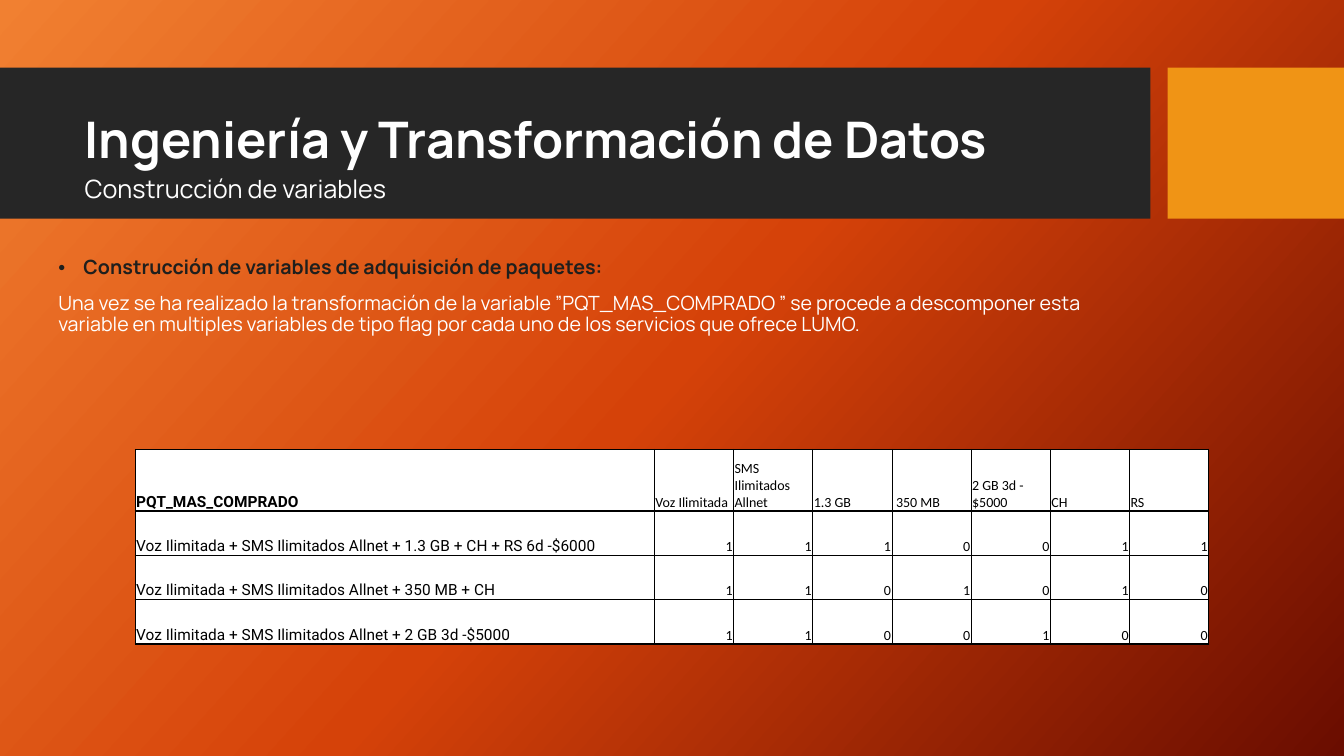
import copy

import lxml.etree
import pptx
import pptx.dml.color
import pptx.enum.shapes
import pptx.enum.text
import pptx.oxml.ns
import pptx.util

Inches = pptx.util.Inches
Pt = pptx.util.Pt
qn = pptx.oxml.ns.qn
ALIGN = pptx.enum.text.PP_ALIGN
ANCHOR = pptx.enum.text.MSO_ANCHOR

COLORS = {
    "glow": "F18031",
    "ember": "D54209",
    "deep": "6A0D00",
    "bar": "262626",
    "accent": "F09415",
    "ink": "1F1F1D",
    "white": "FFFFFF",
    "black": "000000",
}

HEADERS = ["PQT_MAS_COMPRADO", "Voz Ilimitada", "SMS Ilimitados Allnet", "1.3 GB",
           " 350 MB", "2 GB 3d -$5000", "CH", "RS"]
PACKAGES = [
    ("Voz Ilimitada + SMS Ilimitados Allnet + 1.3 GB + CH + RS 6d -$6000", "1110011"),
    ("Voz Ilimitada + SMS Ilimitados Allnet + 350 MB + CH", "1101010"),
    ("Voz Ilimitada + SMS Ilimitados Allnet + 2 GB 3d -$5000", "1100100"),
]


def rgb(name):
    return pptx.dml.color.RGBColor.from_string(COLORS[name])


def write(p, text, size=14, font="Manrope", color="white", bold=False,
          align=ALIGN.LEFT, spacing=None, before=None):
    p.alignment = align
    if spacing is not None:
        p.line_spacing = spacing
    if before is not None:
        p.space_before = Pt(before)
    r = p.add_run()
    r.text = text
    r.font.size = Pt(size)
    r.font.name = font
    r.font.bold = bold
    r.font.color.rgb = rgb(color)


def add_bullet(p, indent):
    pPr = p._p.get_or_add_pPr()
    pPr.set("marL", str(Inches(indent)))
    pPr.set("indent", str(-Inches(indent)))
    lxml.etree.SubElement(pPr, qn("a:buFont")).set("typeface", "Arial")
    lxml.etree.SubElement(pPr, qn("a:buChar")).set("char", "•")


def add_textbox(s, x, y, w, h):
    tf = s.shapes.add_textbox(Inches(x), Inches(y), Inches(w), Inches(h)).text_frame
    tf.word_wrap = True
    return tf


def paint_background(s):
    fill = s.background.fill
    fill.gradient()
    fill.gradient_angle = 360 - 42
    stops = next(s.element.iter(qn("a:gsLst")))
    stops.insert(1, copy.deepcopy(stops[0]))
    for stop, position, name in zip(fill.gradient_stops, (0, 0.5, 1), ("glow", "ember", "deep")):
        stop.position = position
        stop.color.rgb = rgb(name)


def add_bar(s, x, y, w, h, color):
    sp = s.shapes.add_shape(pptx.enum.shapes.MSO_SHAPE.RECTANGLE,
                            Inches(x), Inches(y), Inches(w), Inches(h))
    sp.shadow.inherit = False
    sp.fill.solid()
    sp.fill.fore_color.rgb = rgb(color)
    sp.line.fill.background()


def add_header(s, x, y, w, h):
    accent_w = 1.75
    add_bar(s, x, y, w - accent_w - 0.17, h, "bar")
    add_bar(s, x + w - accent_w, y, accent_w, h, "accent")

    title = s.shapes.title
    s.shapes.element.append(title.element)
    title.left, title.top = Inches(x + 0.74), Inches(y + 0.15)
    title.width, title.height = Inches(10.51), Inches(1.18)
    tf = title.text_frame
    tf.vertical_anchor = ANCHOR.MIDDLE
    write(tf.paragraphs[0], "Ingeniería y Transformación de Datos",
          size=36, bold=True, spacing=0.9)

    tf = add_textbox(s, x + 0.74, y + 1, 6.67, 0.4)
    write(tf.paragraphs[0], "Construcción de variables", size=18)


def add_body(s, x, y, w, h):
    tf = add_textbox(s, x, y, w, h)
    p = tf.paragraphs[0]
    write(p, "Construcción de variables de adquisición de paquetes:",
          color="ink", bold=True, spacing=0.9, before=10)
    add_bullet(p, 0.25)
    write(tf.add_paragraph(),
          "Una vez se ha realizado la transformación de la variable ”PQT_MAS_COMPRADO ” "
          "se procede a descomponer esta variable en multiples variables de tipo flag "
          "por cada uno de los servicios que ofrece LUMO.",
          spacing=0.9, before=10)


def rule_width(i, last):
    return 1 if i in (0, 1, last) else 0.5


def set_borders(cell, widths):
    tcPr = cell._tc.get_or_add_tcPr()
    for side, width in zip("LRTB", widths):
        ln = lxml.etree.SubElement(tcPr, qn("a:ln" + side), w=str(Pt(width)))
        solid = lxml.etree.SubElement(ln, qn("a:solidFill"))
        lxml.etree.SubElement(solid, qn("a:srgbClr"), val=COLORS["black"])


def add_flag_table(s, x, y, w, h):
    rows = [HEADERS] + [[name, *flags] for name, flags in PACKAGES]
    n_rows, n_cols = len(rows), len(HEADERS)
    name_w, header_h = 5.15, 0.61
    table = s.shapes.add_table(n_rows, n_cols, Inches(x), Inches(y), Inches(w), Inches(h)).table
    table.first_row = False
    table.horz_banding = False
    for j, col in enumerate(table.columns):
        col.width = Inches(name_w if j == 0 else (w - name_w) / (n_cols - 1))
    for i, row in enumerate(table.rows):
        row.height = Inches(header_h if i == 0 else (h - header_h) / (n_rows - 1))

    for i, values in enumerate(rows):
        for j, text in enumerate(values):
            cell = table.cell(i, j)
            set_borders(cell, (rule_width(j, n_cols), rule_width(j + 1, n_cols),
                               rule_width(i, n_rows), rule_width(i + 1, n_rows)))
            cell.fill.solid()
            cell.fill.fore_color.rgb = rgb("white")
            cell.vertical_anchor = ANCHOR.BOTTOM
            cell.margin_left = cell.margin_right = cell.margin_top = Inches(0.01)
            cell.margin_bottom = 0
            write(cell.text_frame.paragraphs[0], text, color="black",
                  size=11 if j == 0 else 10,
                  font="Roboto" if j == 0 else "Calibri",
                  bold=i == 0 and j == 0,
                  align=ALIGN.RIGHT if i and j else ALIGN.LEFT)


def main():
    prs = pptx.Presentation()
    prs.slide_width, prs.slide_height = Inches(13.33), Inches(7.5)
    s = prs.slides.add_slide(prs.slide_layouts[5])
    paint_background(s)
    add_header(s, 0, 0.67, 13.33, 1.5)
    add_body(s, 0.48, 2.51, 11.04, 1.17)
    add_flag_table(s, 1.34, 4.46, 10.65, 1.93)
    prs.save("out.pptx")


if __name__ == "__main__":
    main()
